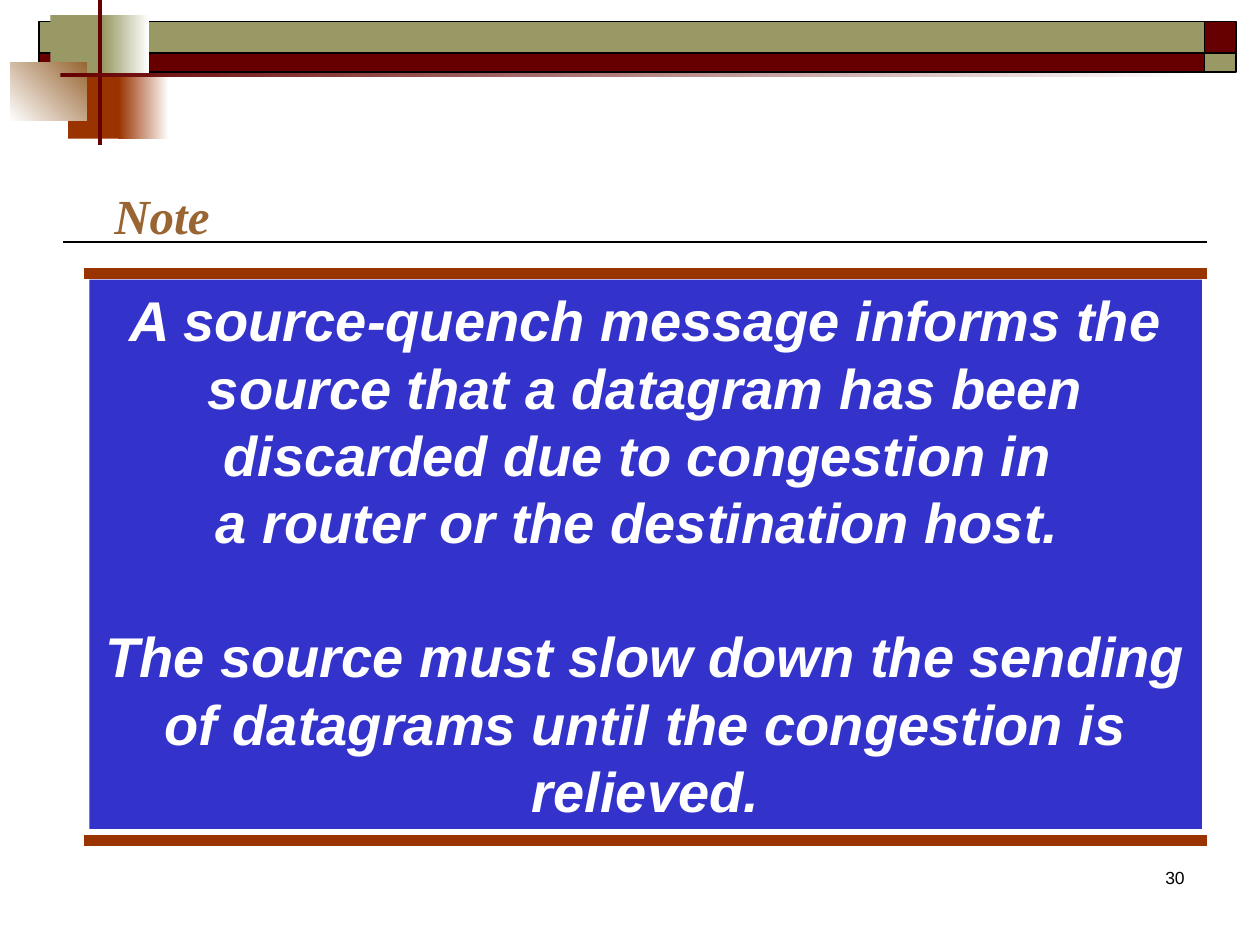
from lxml import etree
from pptx import Presentation
from pptx.dml.color import RGBColor
from pptx.enum.shapes import MSO_CONNECTOR, MSO_SHAPE
from pptx.enum.text import MSO_ANCHOR, PP_ALIGN
from pptx.oxml.ns import qn
from pptx.util import Inches, Pt

RECT = MSO_SHAPE.RECTANGLE
STRAIGHT = MSO_CONNECTOR.STRAIGHT
TOP = MSO_ANCHOR.TOP
LEFT, CENTER, RIGHT = PP_ALIGN.LEFT, PP_ALIGN.CENTER, PP_ALIGN.RIGHT

BLACK = RGBColor(0x00, 0x00, 0x00)
WHITE = RGBColor(0xFF, 0xFF, 0xFF)
MAROON = RGBColor(0x66, 0x00, 0x00)
OLIVE = RGBColor(0x99, 0x99, 0x66)
RUST = RGBColor(0x99, 0x33, 0x00)
BROWN = RGBColor(0x99, 0x66, 0x33)
BLUE = RGBColor(0x33, 0x33, 0xCC)


class NoteSlide:
    """Style and drawing methods for a framed note slide."""

    def __init__(self, prs):
        self.s = prs.slides.add_slide(prs.slide_layouts[6])
        self.body_font = "Arial"
        self.title_font = "Times New Roman"

    def rect(self, x, y, w, h, color, outlined=False):
        sp = self.s.shapes.add_shape(RECT, Inches(x), Inches(y), Inches(w), Inches(h))
        sp.shadow.inherit = False
        sp.fill.solid()
        sp.fill.fore_color.rgb = color
        if outlined:
            sp.line.color.rgb = BLACK
            sp.line.width = Pt(1)
        else:
            sp.line.fill.background()
        return sp

    def fade(self, x, y, w, h, start, end, angle=0):
        sp = self.rect(x, y, w, h, start)
        sp.fill.gradient()
        sp.fill.gradient_angle = angle
        for stop, position, color in zip(sp.fill.gradient_stops, (0, 1), (start, end)):
            stop.position = position
            stop.color.rgb = color

    def rule(self, x1, x2, y, color, width):
        line = self.s.shapes.add_connector(STRAIGHT, Inches(x1), Inches(y), Inches(x2), Inches(y))
        line.line.color.rgb = color
        line.line.width = Pt(width)
        etree.SubElement(line._element.spPr, qn("a:effectLst"))

    def set_text(self, sp, texts, size, font, color, align=LEFT, bold=False, wrap=True):
        tf = sp.text_frame
        tf.word_wrap = wrap
        tf.vertical_anchor = TOP
        for i, text in enumerate(texts):
            p = tf.paragraphs[0] if i == 0 else tf.add_paragraph()
            p.text = text
            p.alignment = align
            p.font.size = Pt(size)
            p.font.name = font
            p.font.color.rgb = color
            p.font.bold = p.font.italic = bold
        return tf

    def label(self, x, y, w, h, text, size, font, color, **style):
        sp = self.s.shapes.add_textbox(Inches(x), Inches(y), Inches(w), Inches(h))
        self.set_text(sp, [text], size, font, color, **style)

    def note(self, x, y, w, h, texts, size, leading):
        sp = self.rect(x, y, w, h, BLUE)
        tf = self.set_text(sp, texts, size, self.body_font, WHITE, CENTER, True)
        for p in tf.paragraphs:
            p.line_spacing = Pt(leading)
        tf.paragraphs[-1].space_before = Pt(leading)


def main():
    prs = Presentation()
    prs.slide_width, prs.slide_height = Inches(10), Inches(7.5)
    slide = NoteSlide(prs)

    slide.rule(0.5, 9.58, 1.92, BLACK, 1)
    for y, h, bar, corner in ((0.17, 0.25, OLIVE, MAROON), (0.42, 0.15, MAROON, OLIVE)):
        slide.rect(0.31, y, 9.25, h, bar, outlined=True)
        slide.rect(9.56, y, 0.25, h, corner, outlined=True)

    slide.rect(0.4, 0.12, 0.48, 0.52, OLIVE)
    slide.fade(0.82, 0.12, 0.36, 0.52, OLIVE, WHITE)
    slide.rect(0.54, 0.58, 0.46, 0.52, RUST)
    slide.fade(0.94, 0.58, 0.4, 0.52, RUST, WHITE)
    slide.fade(0.08, 0.5, 0.61, 0.46, WHITE, BROWN, 45)
    slide.rect(0.78, 0, 0.03, 1.15, MAROON)
    slide.fade(0.48, 0.58, 9, 0.03, MAROON, WHITE)

    for y in (6.67, 2.17):
        slide.rule(0.67, 9.58, y, RUST, 6)
    slide.note(0.71, 2.22, 8.83, 4.36, [
        "A source-quench message informs the source that a datagram has been "
        "discarded due to congestion in ",
        "a router or the destination host. ",
        "The source must slow down the sending of datagrams until the congestion is relieved.",
    ], 32, 38.4)

    slide.label(0.81, 1.42, 0.96, 0.57, "Note", 28, slide.title_font, BROWN, bold=True, wrap=False)
    slide.label(7.42, 6.83, 2.08, 0.5, "30", 10, slide.body_font, BLACK, align=RIGHT)

    prs.save("out.pptx")


if __name__ == "__main__":
    main()
